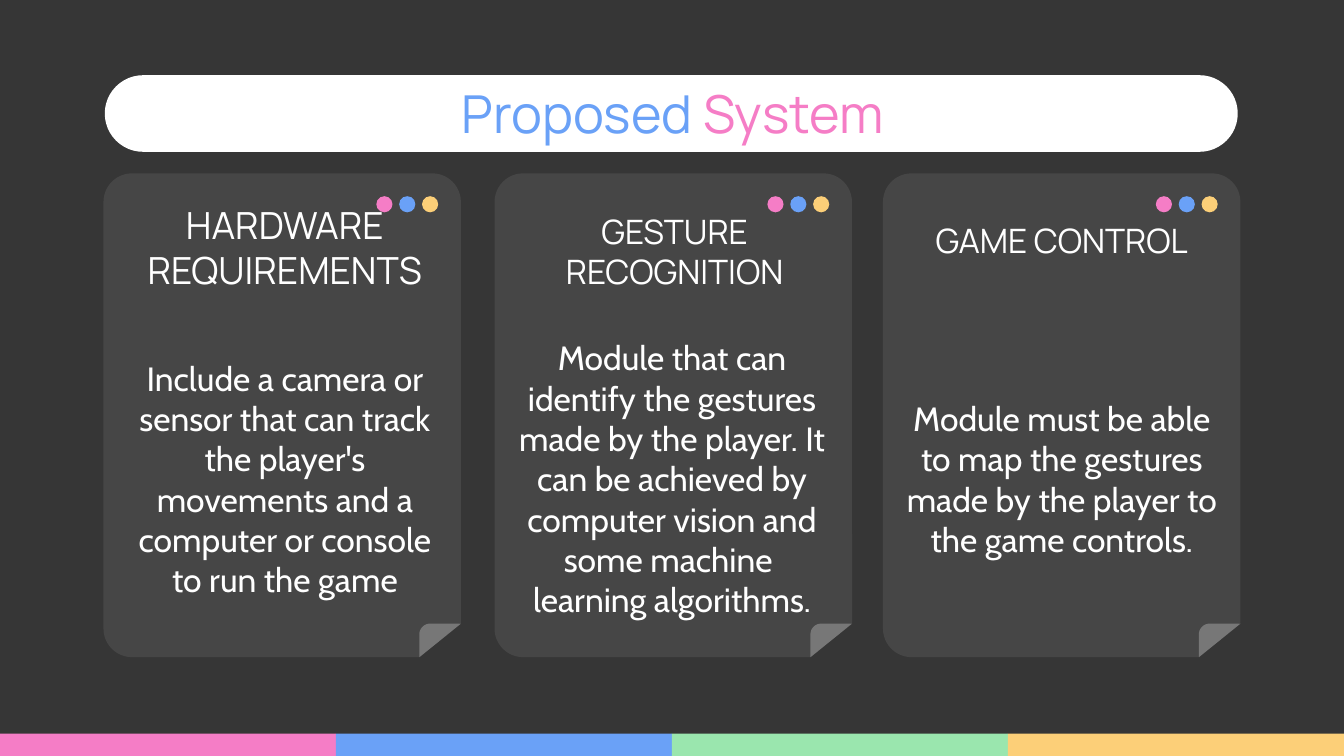
import math
from dataclasses import dataclass

from pptx import Presentation
from pptx import util as u
from pptx.dml.color import RGBColor
from pptx.enum import shapes, text

BACKGROUND = RGBColor(0x36, 0x36, 0x36)
CARD_FILL = RGBColor(0x46, 0x46, 0x46)
FOLD_FILL = RGBColor(0x77, 0x77, 0x77)
WHITE = RGBColor(0xFF, 0xFF, 0xFF)
PINK = RGBColor(0xF5, 0x7D, 0xC6)
BLUE = RGBColor(0x6A, 0xA1, 0xF7)
GREEN = RGBColor(0x9A, 0xE6, 0xAE)
YELLOW = RGBColor(0xFC, 0xCF, 0x78)

HEADING_FONT = "Manrope"
BODY_FONT = "Cabin"
SLIDE_WIDTH = 10
SLIDE_HEIGHT = SLIDE_WIDTH * 9 / 16
CARD_WIDTH, CARD_HEIGHT = 2.66, 3.6
FOLD_WIDTH, FOLD_HEIGHT, FOLD_RADIUS = 0.31, 0.25, 0.08
TEXT_WIDTH = 2.52
BAR_WIDTH = SLIDE_WIDTH / 4


@dataclass(frozen=True)
class Box:
    left: float
    top: float
    width: float
    height: float

    def lengths(self) -> list[u.Length]:
        return [u.Inches(value) for value in (self.left, self.top, self.width, self.height)]


@dataclass(frozen=True)
class Card:
    left: float
    top: float
    heading: str
    heading_box: Box
    heading_size: int
    body: str
    body_left: float


CARDS = [
    Card(6.57, 1.29, "GAME CONTROL", Box(6.64, 1.59, TEXT_WIDTH, 0.4), 18,
         "Module must be able to map the gestures made by the player "
         "to the game controls.", 6.64),
    Card(3.68, 1.29, "GESTURE RECOGNITION", Box(3.76, 1.59, TEXT_WIDTH, 0.56), 18,
         "Module that can identify the gestures made by the player. It can be "
         "achieved by computer vision and some machine \vlearning algorithms.", 3.74),
    Card(0.77, 1.29, "HARDWARE REQUIREMENTS", Box(0.86, 1.64, TEXT_WIDTH, 0.4), 20,
         "Include a camera or sensor that can track the player's movements "
         "and a computer or console to run the game", 0.86),
]


def paint(shape, color: RGBColor) -> None:
    shape.shadow.inherit = False
    shape.fill.solid()
    shape.fill.fore_color.rgb = color
    shape.line.fill.background()


def add_filled(parent, kind: shapes.MSO_SHAPE, box: Box, color: RGBColor):
    shape = parent.add_shape(kind, *box.lengths())
    paint(shape, color)
    return shape


def format_frame(frame) -> None:
    frame.word_wrap = True
    frame.auto_size = text.MSO_AUTO_SIZE.NONE
    frame.vertical_anchor = text.MSO_ANCHOR.MIDDLE
    frame.margin_left = frame.margin_right = u.Inches(0.1)
    frame.margin_top = frame.margin_bottom = u.Inches(0.1)


def format_paragraph(paragraph, font: str, size: int) -> None:
    paragraph.alignment = text.PP_ALIGN.CENTER
    paragraph.font.name = font
    paragraph.font.size = u.Pt(size)


def add_text(slide, box: Box, content: str, font: str, size: int) -> None:
    frame = slide.shapes.add_textbox(*box.lengths()).text_frame
    format_frame(frame)
    frame.text = content
    paragraph = frame.paragraphs[0]
    format_paragraph(paragraph, font, size)
    paragraph.font.color.rgb = WHITE


def add_fold(parent, right: float, bottom: float) -> None:
    left, top = right - FOLD_WIDTH, bottom - FOLD_HEIGHT
    corner = add_filled(parent, shapes.MSO_SHAPE.RIGHT_TRIANGLE,
                        Box(left + 0.01, top, 0.3, FOLD_HEIGHT), BACKGROUND)
    corner.line.color.rgb = BACKGROUND
    corner.line.width = u.Pt(0.75)
    corner._element.spPr.xfrm.set("flipH", "1")

    angles = [math.radians(degrees) for degrees in range(0, 91, 10)]
    arc = [(u.Inches(left + FOLD_RADIUS * (1 - math.sin(angle))),
            u.Inches(top + FOLD_RADIUS * (1 - math.cos(angle)))) for angle in angles]
    builder = parent.build_freeform(*arc[0])
    builder.add_line_segments(arc[1:] + [(u.Inches(left), u.Inches(bottom)),
                                         (u.Inches(right), u.Inches(top))])
    paint(builder.convert_to_shape(), FOLD_FILL)


def add_panel(slide, card: Card) -> None:
    group = slide.shapes.add_group_shape().shapes
    panel = add_filled(group, shapes.MSO_SHAPE.ROUNDED_RECTANGLE,
                       Box(card.left, card.top, CARD_WIDTH, CARD_HEIGHT), CARD_FILL)
    panel.adjustments[0] = 0.08
    add_fold(group, card.left + CARD_WIDTH, card.top + CARD_HEIGHT)
    for index, color in enumerate((PINK, BLUE, YELLOW)):
        add_filled(group, shapes.MSO_SHAPE.OVAL,
                   Box(card.left + 2.03 + 0.17 * index, card.top + 0.17, 0.12, 0.12), color)


def add_card_text(slide, card: Card) -> None:
    add_text(slide, card.heading_box, card.heading, HEADING_FONT, card.heading_size)
    add_text(slide, Box(card.body_left, 2.24, TEXT_WIDTH, 2.64), card.body, BODY_FONT, 18)


def add_title(slide) -> None:
    pill = add_filled(slide.shapes, shapes.MSO_SHAPE.ROUNDED_RECTANGLE,
                      Box(0.78, 0.56, 8.43, 0.57), WHITE)
    pill.adjustments[0] = 0.5
    title = slide.shapes.title
    title.left, title.top, title.width, title.height = Box(0.79, 0.59, 8.43, 0.5).lengths()
    format_frame(title.text_frame)
    paragraph = title.text_frame.paragraphs[0]
    format_paragraph(paragraph, HEADING_FONT, 28)
    for word, color in (("Proposed ", BLUE), ("System", PINK)):
        run = paragraph.add_run()
        run.text = word
        run.font.color.rgb = color
    pill._element.addnext(title._element)


def main() -> None:
    presentation = Presentation()
    presentation.slide_width = u.Inches(SLIDE_WIDTH)
    presentation.slide_height = u.Inches(SLIDE_HEIGHT)
    slide = presentation.slides.add_slide(presentation.slide_layouts[5])
    slide.background.fill.solid()
    slide.background.fill.fore_color.rgb = BACKGROUND

    for index, color in enumerate((PINK, BLUE, GREEN, YELLOW)):
        add_filled(slide.shapes, shapes.MSO_SHAPE.RECTANGLE,
                   Box(BAR_WIDTH * index, 5.46, BAR_WIDTH, 0.17), color)
    add_title(slide)
    for card in CARDS:
        add_panel(slide, card)
    for card in reversed(CARDS):
        add_card_text(slide, card)
    presentation.save("out.pptx")


if __name__ == "__main__":
    main()
